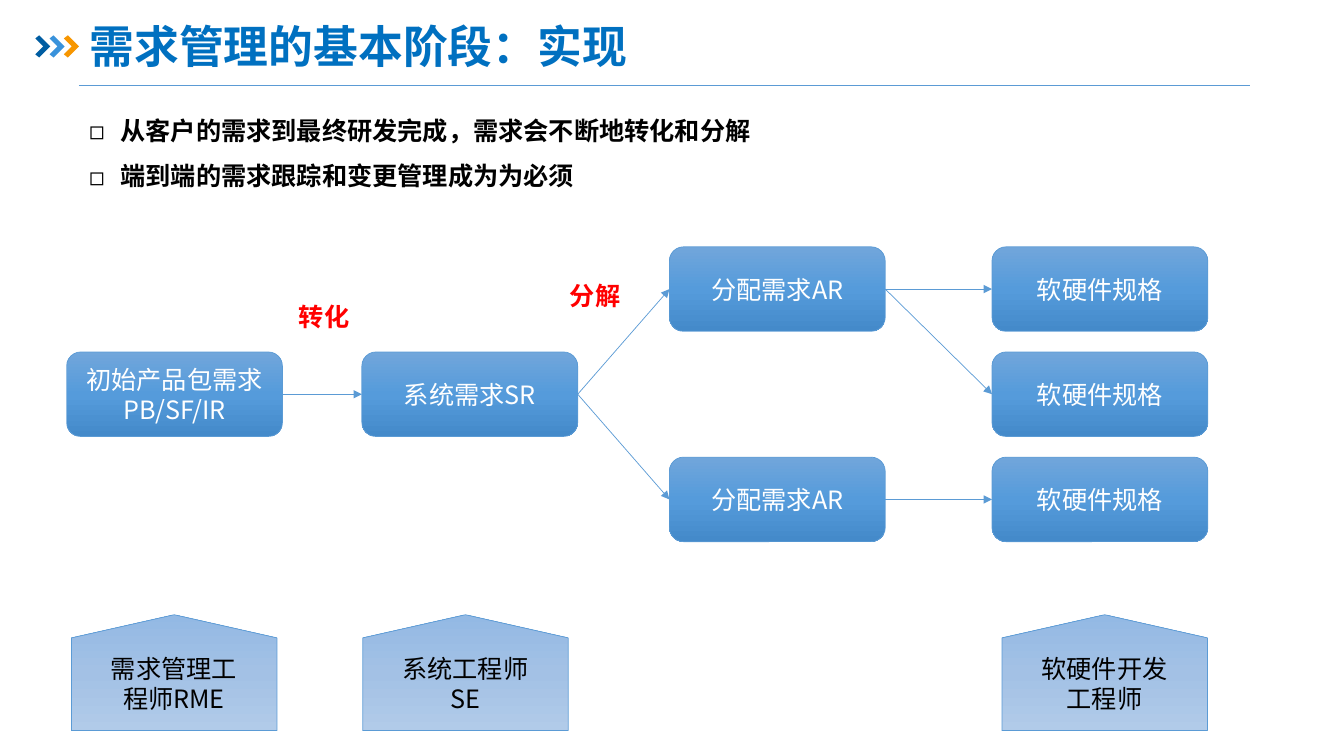
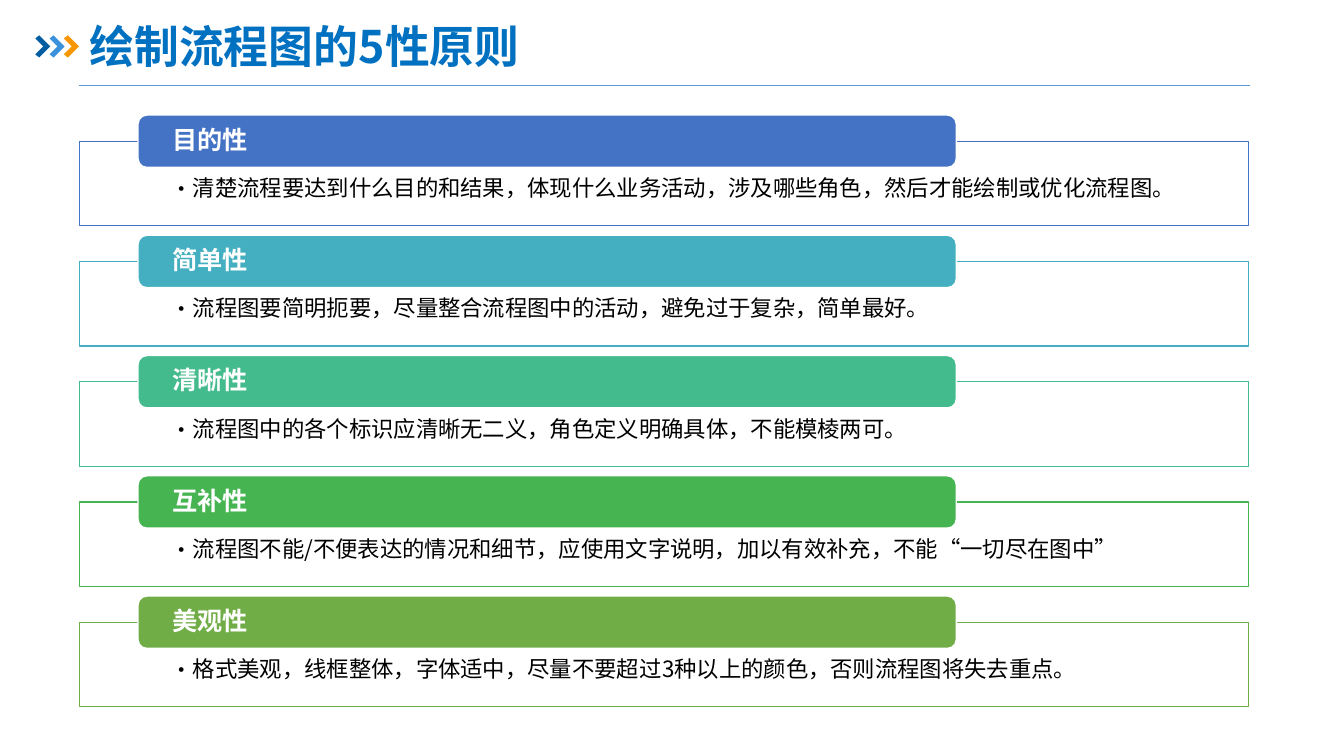
from dataclasses import dataclass

from lxml.etree import SubElement
from pptx import Presentation
from pptx.dml.color import RGBColor as Rgb
from pptx.enum.shapes import MSO_CONNECTOR as Connector, MSO_SHAPE as Preset
from pptx.enum.text import MSO_ANCHOR as Anchor, MSO_AUTO_SIZE as AutoSize, PP_ALIGN as Align
from pptx.oxml.ns import qn
from pptx.util import Cm, Pt


@dataclass(frozen=True)
class Theme:
    font: str = "Noto Sans CJK SC"
    title_size: int = 32
    body_size: int = 18
    detail_size: int = 16
    title: str = "0070C0"
    text: str = "000000"
    white: str = "FFFFFF"
    accent: str = "FF0000"
    line: str = "5B9BD5"
    chevrons: tuple = ("005DA2", "3992DB", "F79600")
    box: tuple = ("71A6DB", "559BDB", "448ACA")
    role: tuple = ("B1CBE9", "A3C1E5", "93B9E4")


theme = Theme()


def add_box(page, at, preset=None, fill=None, line=theme.line, line_width=0.5):
    """Add a text box, or a preset shape whose fill is one colour or three gradient colours."""
    place = [Cm(length) for length in at]
    if preset is None:
        box = page.shapes.add_textbox(*place)
        box.text_frame.auto_size = AutoSize.SHAPE_TO_FIT_TEXT
    else:
        box = page.shapes.add_shape(preset, *place)
        box.shadow.inherit = False
        box.line.color.rgb = Rgb.from_string(line)
        box.line.width = Pt(line_width)
        if isinstance(fill, tuple):
            box.fill.gradient()
            gradient = box.element.spPr.find(qn("a:gradFill"))
            gradient.clear()
            gradient.set("rotWithShape", "1")
            stops = SubElement(gradient, qn("a:gsLst"))
            for position, colour in zip((0, 50000, 100000), fill):
                stop = SubElement(stops, qn("a:gs"), pos=str(position))
                SubElement(stop, qn("a:srgbClr"), val=colour)
            SubElement(gradient, qn("a:lin"), ang="5400000", scaled="0")
        else:
            box.fill.solid()
            box.fill.fore_color.rgb = Rgb.from_string(fill)
    box.text_frame.word_wrap = True
    return box


def write(frame, lines, size, colour, bold=False, align=Align.LEFT, spacing=1.0, bullet=None):
    """Write one paragraph per line; bullet is a character and its hanging indent in cm."""
    for number, line in enumerate(lines):
        para = frame.add_paragraph() if number else frame.paragraphs[0]
        para.alignment = align
        para.line_spacing = spacing
        if bullet:
            mark, indent = bullet
            properties = para._p.get_or_add_pPr()
            properties.set("marL", str(Cm(indent)))
            properties.set("indent", str(-Cm(indent)))
            SubElement(properties, qn("a:buFont"), typeface=theme.font)
            SubElement(properties, qn("a:buChar"), char=mark)
        span = para.add_run()
        span.text = line
        span.font.size = Pt(size)
        span.font.bold = bold
        span.font.color.rgb = Rgb.from_string(colour)
        span.font.name = theme.font
        SubElement(span._r.get_or_add_rPr(), qn("a:ea"), typeface=theme.font)


deck = Presentation()
deck.slide_width, deck.slide_height = Cm(33.87), Cm(19.05)

# Shared layout: title place, chevrons and rule
layout = deck.slide_layouts[5]
for holder in list(layout.placeholders):
    if holder.placeholder_format.idx:
        layout.shapes.element.remove(holder.element)
    else:
        holder.left, holder.top, holder.width, holder.height = Cm(2), Cm(0.48), Cm(29.2), Cm(1.5)

pages = []
for title in ("需求管理的基本阶段：实现", "绘制流程图的5性原则"):
    page = deck.slides.add_slide(layout)
    write(page.shapes.title.text_frame, [title], theme.title_size, theme.title, bold=True, spacing=0.9)
    pages.append(page)
flow_page, principle_page = pages

rule = flow_page.shapes.add_connector(Connector.STRAIGHT, Cm(1.99), Cm(2.14), Cm(31.5), Cm(2.14))
layout.shapes.element.append(rule.element)
chevron_points = [(0, 0.08), (0.1, 0), (0.38, 0.28), (0.1, 0.56), (0, 0.48), (0.2, 0.28)]
for number, colour in enumerate(theme.chevrons):
    corners = [(Cm(0.89 + 0.36 * number + x), Cm(0.89 + y)) for x, y in chevron_points]
    builder = flow_page.shapes.build_freeform(*corners[0])
    builder.add_line_segments(corners[1:], close=True)
    chevron = builder.convert_to_shape()
    chevron.shadow.inherit = False
    chevron.fill.solid()
    chevron.fill.fore_color.rgb = Rgb.from_string(colour)
    chevron.line.fill.background()
    layout.shapes.element.append(chevron.element)

# Slide 1: requirement flow
columns = (1.68, 9.12, 16.87, 25)
first_row, row_step = 6.22, 2.65
flow_boxes = {
    "initial": (0, 1, "初始产品包需求PB/SF/IR"),
    "system": (1, 1, "系统需求SR"),
    "upper": (2, 0, "分配需求AR"),
    "lower": (2, 2, "分配需求AR"),
    "spec_top": (3, 0, "软硬件规格"),
    "spec_middle": (3, 1, "软硬件规格"),
    "spec_bottom": (3, 2, "软硬件规格"),
}
nodes = {}
for name, (column, row, label) in flow_boxes.items():
    at = (columns[column], first_row + row * row_step, 5.44, 2.13)
    node = add_box(flow_page, at, Preset.ROUNDED_RECTANGLE, theme.box)
    node.text_frame.vertical_anchor = Anchor.MIDDLE
    write(node.text_frame, [label], theme.body_size, theme.white, align=Align.CENTER)
    nodes[name] = node

arrows = []
for source, target in (
    ("initial", "system"), ("system", "upper"), ("system", "lower"),
    ("upper", "spec_top"), ("upper", "spec_middle"), ("lower", "spec_bottom"),
):
    arrow = flow_page.shapes.add_connector(Connector.STRAIGHT, 0, 0, 0, 0)
    arrow.begin_connect(nodes[source], 3)
    arrow.end_connect(nodes[target], 1)
    arrows.append(arrow)

for line in (rule, *arrows):
    line.line.color.rgb = Rgb.from_string(theme.line)
    line.line.width = Pt(0.5)
    if line is not rule:
        SubElement(line.line._get_or_add_ln(), qn("a:tailEnd"), type="triangle")
    SubElement(line.element.spPr, qn("a:effectLst"))

for left, top, label in ((6.76, 7.47, "转化"), (13.59, 6.93, "分解")):
    step = add_box(flow_page, (left, top, 2.82, 1.02))
    write(step.text_frame, [label], theme.body_size, theme.accent, bold=True, align=Align.CENTER)

for left, lines in (
    (1.8, ["需求管理工程师RME"]),
    (9.14, ["系统工程师", "SE"]),
    (25.25, ["软硬件开发工程师"]),
):
    pointer = add_box(flow_page, (left, 15.49, 5.18, 2.92), Preset.FLOWCHART_OFFPAGE_CONNECTOR, theme.role)
    pointer.rotation = 180
    role = add_box(flow_page, (left + 0.53, 16.33, 4.11, 1.8))
    write(role.text_frame, lines, theme.body_size, theme.text, align=Align.CENTER)

summary = add_box(flow_page, (2, 2.39, 28.4, 2.44))
write(
    summary.text_frame,
    ["从客户的需求到最终研发完成，需求会不断地转化和分解", "端到端的需求跟踪和变更管理成为为必须"],
    theme.body_size, theme.text, bold=True, spacing=1.5, bullet=("◻", 0.79),
)

# Slide 2: five principles
principles = [
    ("4472C4", "目的性", "清楚流程要达到什么目的和结果，体现什么业务活动，涉及哪些角色，然后才能绘制或优化流程图。"),
    ("43AFC0", "简单性", "流程图要简明扼要，尽量整合流程图中的活动，避免过于复杂，简单最好。"),
    ("43BB8D", "清晰性", "流程图中的各个标识应清晰无二义，角色定义明确具体，不能模棱两可。"),
    ("45B451", "互补性", "流程图不能/不便表达的情况和细节，应使用文字说明，加以有效补充，不能“一切尽在图中”"),
    ("70AD47", "美观性", "格式美观，线框整体，字体适中，尽量不要超过3种以上的颜色，否则流程图将失去重点。"),
]
for number, (colour, name, detail) in enumerate(principles):
    top = 2.9 + 3.03 * number
    panel = add_box(principle_page, (2.01, top + 0.66, 29.46, 2.13), Preset.RECTANGLE, theme.white, colour, 1)
    frame = panel.text_frame
    frame.vertical_anchor = Anchor.TOP
    frame.margin_left = frame.margin_right = Cm(2.29)
    frame.margin_top, frame.margin_bottom = Cm(0.91), Cm(0.3)
    write(frame, [detail], theme.detail_size, theme.text, spacing=0.9, bullet=("•", 0.48))

    tab = add_box(principle_page, (3.48, top, 20.62, 1.32), Preset.ROUNDED_RECTANGLE, colour, theme.white, 1)
    frame = tab.text_frame
    frame.vertical_anchor = Anchor.MIDDLE
    frame.margin_left = frame.margin_right = Cm(0.8)
    frame.margin_top = frame.margin_bottom = 0
    write(frame, [name], theme.body_size, theme.white, bold=True, spacing=0.9)

deck.save("out.pptx")
